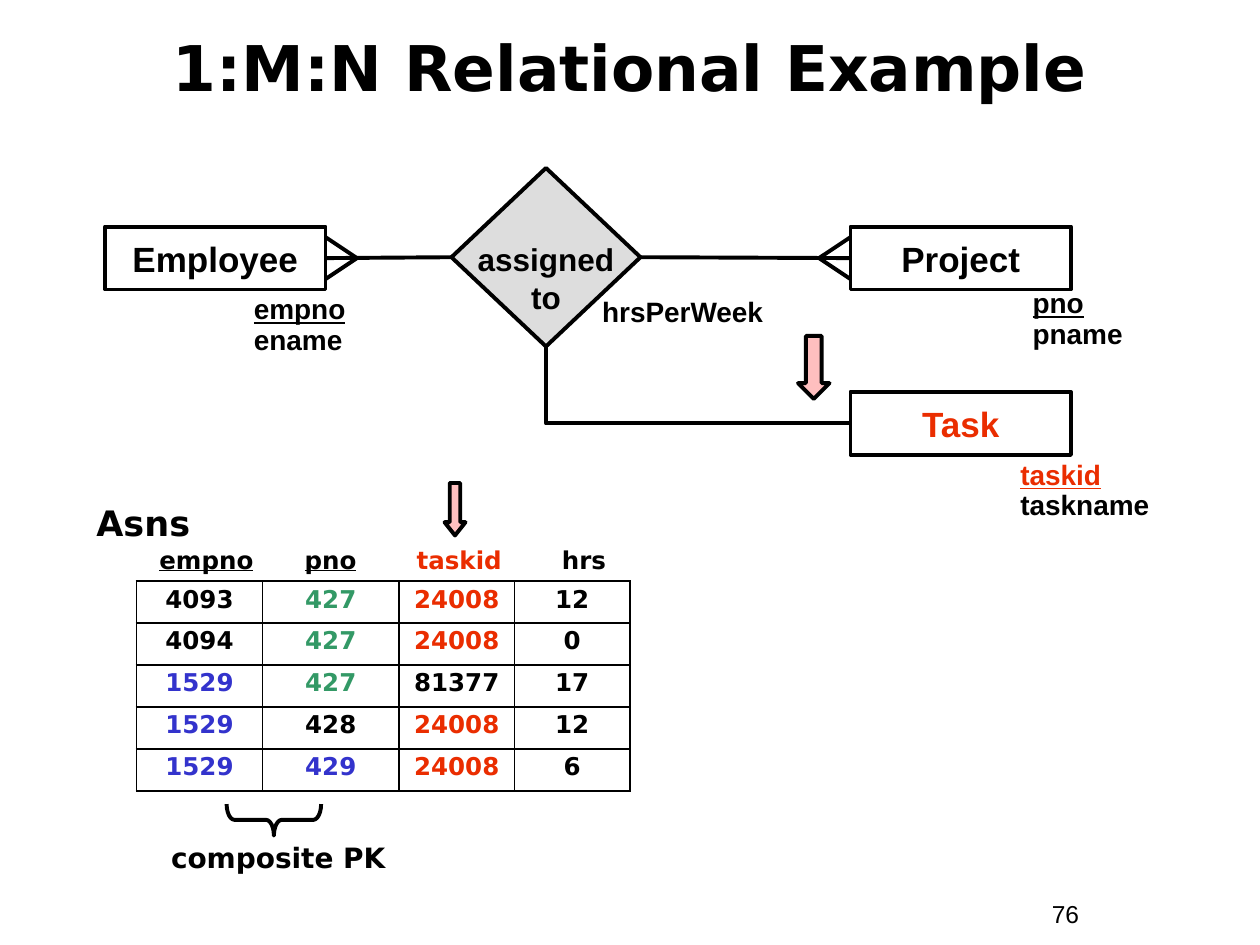
"""Builds the slide that maps a 1:M:N relationship to a relational table."""
import pptx
import pptx.dml.color
import pptx.enum.shapes
import pptx.enum.text
import pptx.oxml
import pptx.oxml.ns
import pptx.util

Pt = pptx.util.Pt
Shape = pptx.enum.shapes.MSO_SHAPE
Link = pptx.enum.shapes.MSO_CONNECTOR
Align = pptx.enum.text.PP_ALIGN
Anchor = pptx.enum.text.MSO_ANCHOR
qn = pptx.oxml.ns.qn


class Theme:
    ink, red, green, blue = "000000", "EA2D00", "339966", "3333CC"
    gray, pink, white = "DDDDDD", "FFBFBF", "FFFFFF"
    sans, wide = "Arial", "DejaVu Sans"
    title, name, verb, label, cell = 36, 20, 18, 16, 14
    line, rule = 2.25, 1.08


ROWS = [
    ("4093", "427", "24008", "12"),
    ("4094", "427", "24008", "0"),
    ("1529", "427", "81377", "17"),
    ("1529", "428", "24008", "12"),
    ("1529", "429", "24008", "6"),
]
HUES = {"427": Theme.green, "24008": Theme.red, "1529": Theme.blue, "429": Theme.blue}


def shade(color):
    return pptx.dml.color.RGBColor.from_string(color)


def style(run, size, face=Theme.sans, color=Theme.ink, bold=True):
    run.font.size = Pt(size)
    run.font.name = face
    run.font.bold = bold
    run.font.color.rgb = shade(color)


def write(frame, text, size, face=Theme.sans, color=Theme.ink, bold=True,
          align=Align.LEFT, gap=None):
    frame.text = text
    for par in frame.paragraphs:
        par.alignment = align
        if gap:
            par.line_spacing = gap
        for run in par.runs:
            style(run, size, face, color, bold)


def label(slide, box, text, size, **look):
    frame = slide.shapes.add_textbox(*map(Pt, box)).text_frame
    frame.word_wrap = True
    write(frame, text, size, **look)
    return frame


def traits(slide, box, key, rest, color=Theme.ink):
    frame = label(slide, box, f"{key}\n{rest}", Theme.label, gap=0.9)
    font = frame.paragraphs[0].runs[0].font
    font.underline = True
    font.color.rgb = shade(color)


def block(slide, kind, box, fill=None):
    shape = slide.shapes.add_shape(kind, *map(Pt, box))
    shape.shadow.inherit = False
    shape.line.color.rgb = shade(Theme.ink)
    shape.line.width = Pt(Theme.line)
    if fill:
        shape.fill.solid()
        shape.fill.fore_color.rgb = shade(fill)
    else:
        shape.fill.background()
    return shape


def node(slide, kind, box, text, size, fill=None, color=Theme.ink):
    shape = block(slide, kind, box, fill)
    frame = shape.text_frame
    frame.word_wrap = False
    frame.vertical_anchor = Anchor.MIDDLE
    write(frame, text, size, color=color, align=Align.CENTER)
    return shape


def arrow(slide, box, head):
    shape = block(slide, Shape.DOWN_ARROW, box, Theme.pink)
    shape.adjustments[0] = 0.5
    shape.adjustments[1] = head


def wire(slide, start=(0, 0), end=(0, 0), kind=Link.STRAIGHT):
    line = slide.shapes.add_connector(kind, *map(Pt, (*start, *end)))
    line.line.color.rgb = shade(Theme.ink)
    line.line.width = Pt(Theme.line)
    line._element.spPr.append(pptx.oxml.parse_xml(
        f'<a:effectLst {pptx.oxml.ns.nsdecls("a")}/>'))
    return line


def join(slide, first, out, last, into, kind=Link.STRAIGHT):
    line = wire(slide, kind=kind)
    line.begin_connect(first, out)
    line.end_connect(last, into)
    return line


def bend(line):
    """Turn an elbow into one corner that goes down and then right."""
    left, top, wide, high = line.left, line.top, line.width, line.height
    line.left = left + (wide - high) // 2
    line.top = top + (high - wide) // 2
    line.width, line.height = high, wide
    props = line._element.spPr
    frame = props.find(qn("a:xfrm"))
    frame.set("rot", "16200000")
    frame.set("flipH", "1")
    props.find(qn("a:prstGeom")).set("prst", "bentConnector2")


def fork(slide, tip, edge, mid):
    for rise in (-12, 12):
        wire(slide, (tip, mid), (edge, mid + rise))


def heads(slide):
    frame = label(slide, (84, 308, 294, 24.5), "", Theme.cell)
    par = frame.paragraphs[0]
    stops = "".join(f'<a:tab pos="{Pt(stop)}" algn="l"/>' for stop in (83, 147, 230))
    par._p.get_or_add_pPr().append(pptx.oxml.parse_xml(
        f'<a:tabLst {pptx.oxml.ns.nsdecls("a")}>{stops}</a:tabLst>'))
    for text, color, under in (("empno", Theme.ink, True), ("\t", Theme.ink, False),
                               ("pno", Theme.ink, True), ("\ttaskid", Theme.red, False),
                               ("\thrs", Theme.ink, False)):
        run = par.add_run()
        run.text = text
        style(run, Theme.cell, Theme.wide, color)
        run.font.underline = under


def edge(cell):
    props = cell._tc.get_or_add_tcPr()
    for side in "LRTB":
        props.append(pptx.oxml.parse_xml(
            f'<a:ln{side} {pptx.oxml.ns.nsdecls("a")} w="{Pt(Theme.rule)}"><a:solidFill>'
            f'<a:srgbClr val="{Theme.ink}"/></a:solidFill></a:ln{side}>'))


def grid(slide):
    table = slide.shapes.add_table(5, 4, Pt(78), Pt(332), Pt(282), Pt(120)).table
    table.first_row = table.horz_banding = False
    for col, wide in zip(table.columns, (72, 78, 66, 66)):
        col.width = Pt(wide)
    for row, data in zip(table.rows, ROWS):
        row.height = Pt(24)
        for cell, text in zip(row.cells, data):
            edge(cell)
            cell.fill.background()
            write(cell.text_frame, text, Theme.cell, Theme.wide,
                  HUES.get(text, Theme.ink), align=Align.CENTER, gap=0.9)


def main():
    deck = pptx.Presentation()
    deck.slide_width, deck.slide_height = Pt(720), Pt(540)
    slide = deck.slides.add_slide(deck.slide_layouts[5])
    title = slide.shapes.title
    title.left, title.top, title.width, title.height = map(Pt, (24, 14, 672, 48))
    title.text_frame.vertical_anchor = Anchor.MIDDLE
    write(title.text_frame, "1:M:N Relational Example", Theme.title, Theme.wide,
          align=Align.CENTER)

    bond = node(slide, Shape.FLOWCHART_DECISION, (258, 96, 108, 102),
                "assigned\vto", Theme.verb, Theme.gray)
    bond.text_frame.margin_top, bond.text_frame.margin_bottom = Pt(24), 0
    staff, job, task = [
        node(slide, Shape.RECTANGLE, (left, top, 126, 36), text, Theme.name, color=color)
        for left, top, text, color in ((60, 129.5, "Employee", Theme.ink),
                                       (486, 129.5, "Project", Theme.ink),
                                       (486, 224, "Task", Theme.red))]
    join(slide, staff, 3, bond, 1)
    join(slide, bond, 3, job, 1)
    bend(join(slide, bond, 2, task, 1, Link.ELBOW))
    fork(slide, 204, 186, 147.5)
    fork(slide, 468, 486, 147.5)

    traits(slide, (138, 165.5, 90, 42), "empno", "ename")
    traits(slide, (583, 162, 72, 42), "pno", "pname")
    traits(slide, (576, 260, 90, 42), "taskid", "taskname", Theme.red)
    label(slide, (337, 167, 114, 24.5), "hrsPerWeek", Theme.label, gap=0.9)
    arrow(slide, (456, 192, 18, 36), 0.5)
    arrow(slide, (254, 276, 12, 30), 0.63)

    label(slide, (48, 283, 222, 32), "Asns", Theme.name, face=Theme.wide)
    heads(slide)
    grid(slide)
    brace = block(slide, Shape.RIGHT_BRACE, (147.5, 441.5, 18, 54))
    brace.rotation = 90
    brace.adjustments[0] = 0.25
    label(slide, (84, 479.5, 150, 24), "composite PK", Theme.label, face=Theme.wide,
          align=Align.CENTER, gap=0.85)
    label(slide, (594, 510, 66, 24.5), "76", Theme.cell, bold=False)
    deck.save("out.pptx")


if __name__ == "__main__":
    main()
